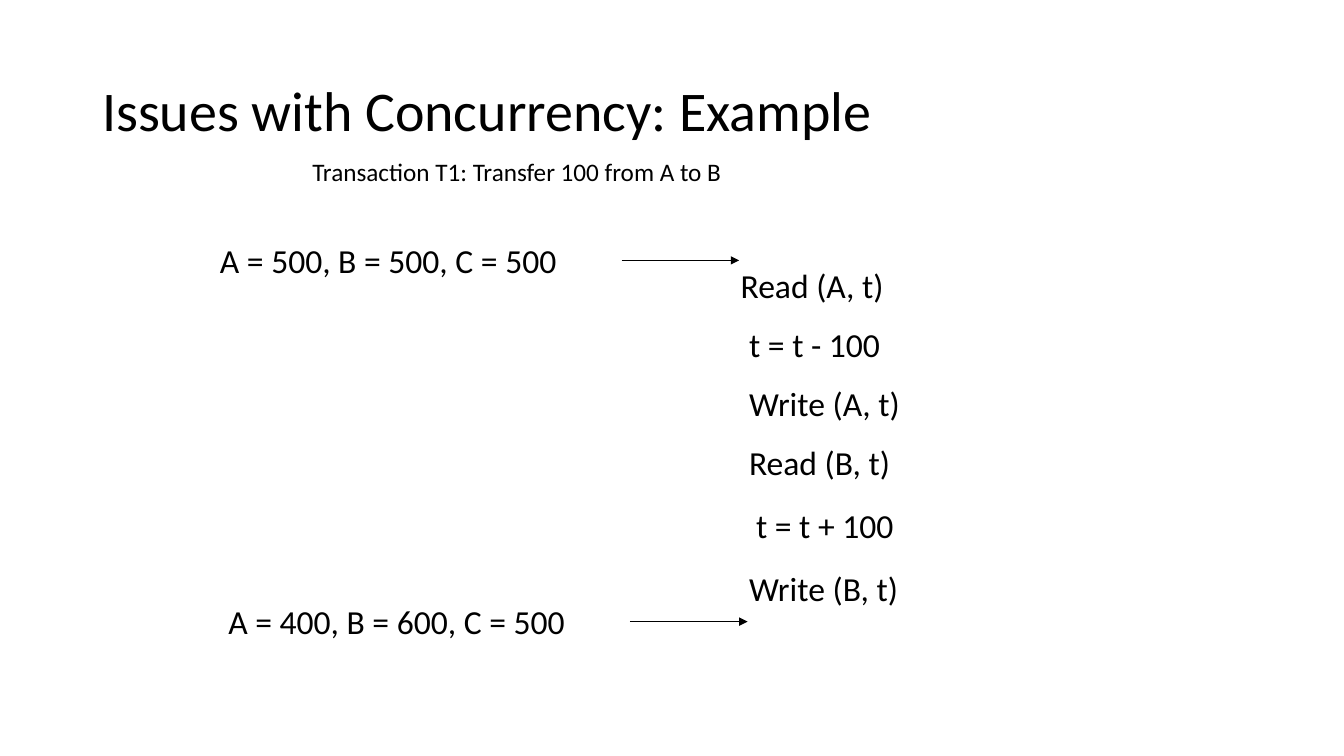
"""Build a slide tracing a money transfer as the steps of one transaction."""
from lxml.etree import SubElement
from pptx import Presentation
from pptx.dml.color import RGBColor
from pptx.enum.shapes import MSO_CONNECTOR as CONNECTOR
from pptx.enum.text import MSO_ANCHOR as ANCHOR, MSO_AUTO_SIZE as AUTO_SIZE
from pptx.oxml.ns import qn
from pptx.util import Pt

TITLE = "Issues with Concurrency: Example"
TRANSACTION = "Transaction T1: Transfer 100 from A to B"
STEPS = [
    ("Read (A, t)", 522, 186, 117),
    ("t = t - 100", 528, 228, 109),
    ("Write (A, t)", 528, 270, 129),
    ("Read (B, t)", 528, 312, 116),
    ("t = t + 100", 533, 357, 113),
    ("Write (B, t)", 528, 402, 122),
]
STATES = [
    ("A = 500, B = 500, C = 500", 150, 168),
    ("A = 400, B = 600, C = 500", 156, 426),
]
FONT, INK = "Calibri", "000000"
BODY_SIZE, LINE_HEIGHT, STATE_WIDTH = 24, 36, 256
ARROW_OFFSET, ARROW_LENGTH = 294, 84


def color(hex_code):
    return RGBColor.from_string(hex_code)


def add_text(slide, text, left, top, width, height=LINE_HEIGHT, size=BODY_SIZE):
    box = slide.shapes.add_textbox(Pt(left), Pt(top), Pt(width), Pt(height))
    frame = box.text_frame
    frame.text = text
    frame.word_wrap = False
    frame.auto_size = AUTO_SIZE.SHAPE_TO_FIT_TEXT
    font = frame.paragraphs[0].runs[0].font
    font.name, font.size = FONT, Pt(size)
    font.color.rgb = color(INK)
    return frame


def add_arrow(slide, left, y):
    arrow = slide.shapes.add_connector(
        CONNECTOR.STRAIGHT, Pt(left), Pt(y), Pt(left + ARROW_LENGTH), Pt(y))
    arrow.line.color.rgb = color(INK)
    arrow.line.width = Pt(0.75)
    SubElement(arrow.line._get_or_add_ln(), qn("a:tailEnd"), type="triangle")
    SubElement(arrow._element.spPr, qn("a:effectLst"))


def main():
    deck = Presentation()
    deck.slide_width, deck.slide_height = Pt(960), Pt(540)
    slide = deck.slides.add_slide(deck.slide_layouts[6])

    title = add_text(slide, TITLE, 66, 28.75, 828, 104.4, 40)
    title.word_wrap = True
    title.auto_size = AUTO_SIZE.NONE
    title.vertical_anchor = ANCHOR.MIDDLE
    title.paragraphs[0].line_spacing = 0.9

    add_text(slide, TRANSACTION, 216, 108, 310, 29, 18)
    for step, left, top, width in STEPS:
        add_text(slide, step, left, top, width)
    for state, left, top in STATES:
        add_text(slide, state, left, top, STATE_WIDTH)
        add_arrow(slide, left + ARROW_OFFSET, top + LINE_HEIGHT / 2)

    deck.save("out.pptx")


if __name__ == "__main__":
    main()
